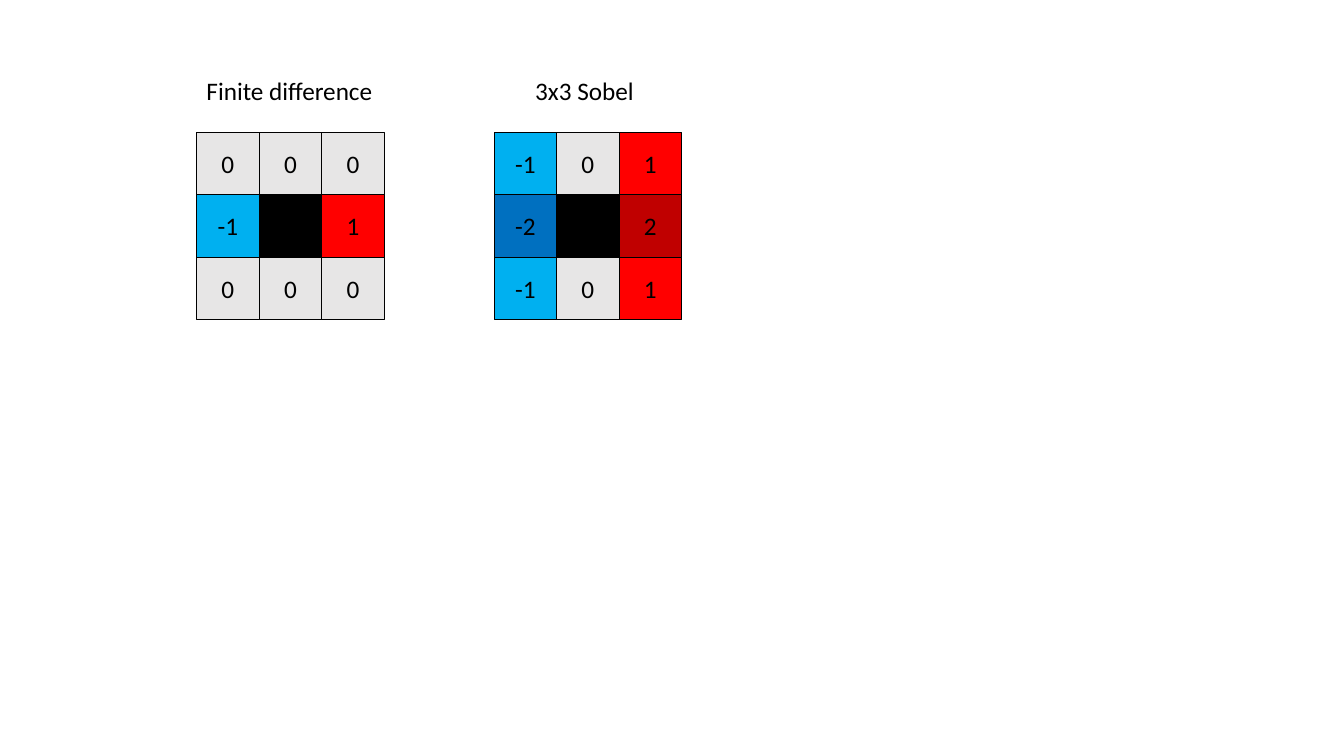
"""Builds a slide comparing two 3x3 gradient kernels."""
from dataclasses import dataclass
from typing import Optional

from pptx import Presentation
from pptx import util as u
from pptx.dml.color import RGBColor
from pptx.enum import shapes, text
from pptx.shapes.group import GroupShape
from pptx.text.text import TextFrame

COLORS = {"ink": "000000", "centre": "000000"}
WEIGHT_COLORS = {
    -2: "0070C0",
    -1: "00B0F0",
    0: "E7E6E6",
    1: "FF0000",
    2: "C00000",
    None: COLORS["centre"],
}
FONT = "Calibri"
CELL = u.Inches(0.62)
GRID_TOP = u.Inches(1.31)
HEADING_TOP = u.Inches(0.7)
HEADING_WIDTH = 3 * CELL
HEADING_HEIGHT = u.Inches(0.4)


@dataclass(frozen=True)
class Kernel:
    """A named grid of weights; None marks the centre pixel."""

    name: str
    left: float
    heading_left: float
    weights: tuple[tuple[Optional[int], ...], ...]


KERNELS = (
    Kernel("Finite difference", 1.95, 1.95, ((0, 0, 0), (-1, None, 1), (0, 0, 0))),
    Kernel("3x3 Sobel", 4.9, 5.21, ((-1, 0, 1), (-2, None, 2), (-1, 0, 1))),
)


def write(frame: TextFrame, words: str, align: text.PP_ALIGN) -> None:
    """Put one line of 18 pt text into a frame."""
    para = frame.paragraphs[0]
    para.text = words
    para.alignment = align
    para.font.name = FONT
    para.font.size = u.Pt(18)
    para.font.color.rgb = RGBColor.from_string(COLORS["ink"])


def draw_cell(group: GroupShape, left: int, top: int, weight: Optional[int]) -> None:
    """Draw one weight as a coloured square."""
    cell = group.shapes.add_shape(shapes.MSO_SHAPE.RECTANGLE, left, top, CELL, CELL)
    cell.shadow.inherit = False
    cell.fill.solid()
    cell.fill.fore_color.rgb = RGBColor.from_string(WEIGHT_COLORS[weight])
    cell.line.color.rgb = RGBColor.from_string(COLORS["ink"])
    cell.line.width = u.Pt(0.5)
    if weight is not None:
        cell.text_frame.vertical_anchor = text.MSO_ANCHOR.MIDDLE
        write(cell.text_frame, str(weight), text.PP_ALIGN.CENTER)


def draw_kernel(group: GroupShape, kernel: Kernel) -> None:
    """Draw a kernel's grid and its heading in one group."""
    for row, weights in enumerate(kernel.weights):
        for column, weight in enumerate(weights):
            left = u.Inches(kernel.left) + column * CELL
            draw_cell(group, left, GRID_TOP + row * CELL, weight)
    heading = group.shapes.add_textbox(
        u.Inches(kernel.heading_left), HEADING_TOP, HEADING_WIDTH, HEADING_HEIGHT
    )
    heading.text_frame.word_wrap = True
    write(heading.text_frame, kernel.name, text.PP_ALIGN.LEFT)


deck = Presentation()
deck.slide_width = u.Inches(13.33)
deck.slide_height = u.Inches(7.5)
page = deck.slides.add_slide(deck.slide_layouts.get_by_name("Blank"))
for kernel in KERNELS:
    draw_kernel(page.shapes.add_group_shape(), kernel)
deck.save("out.pptx")
